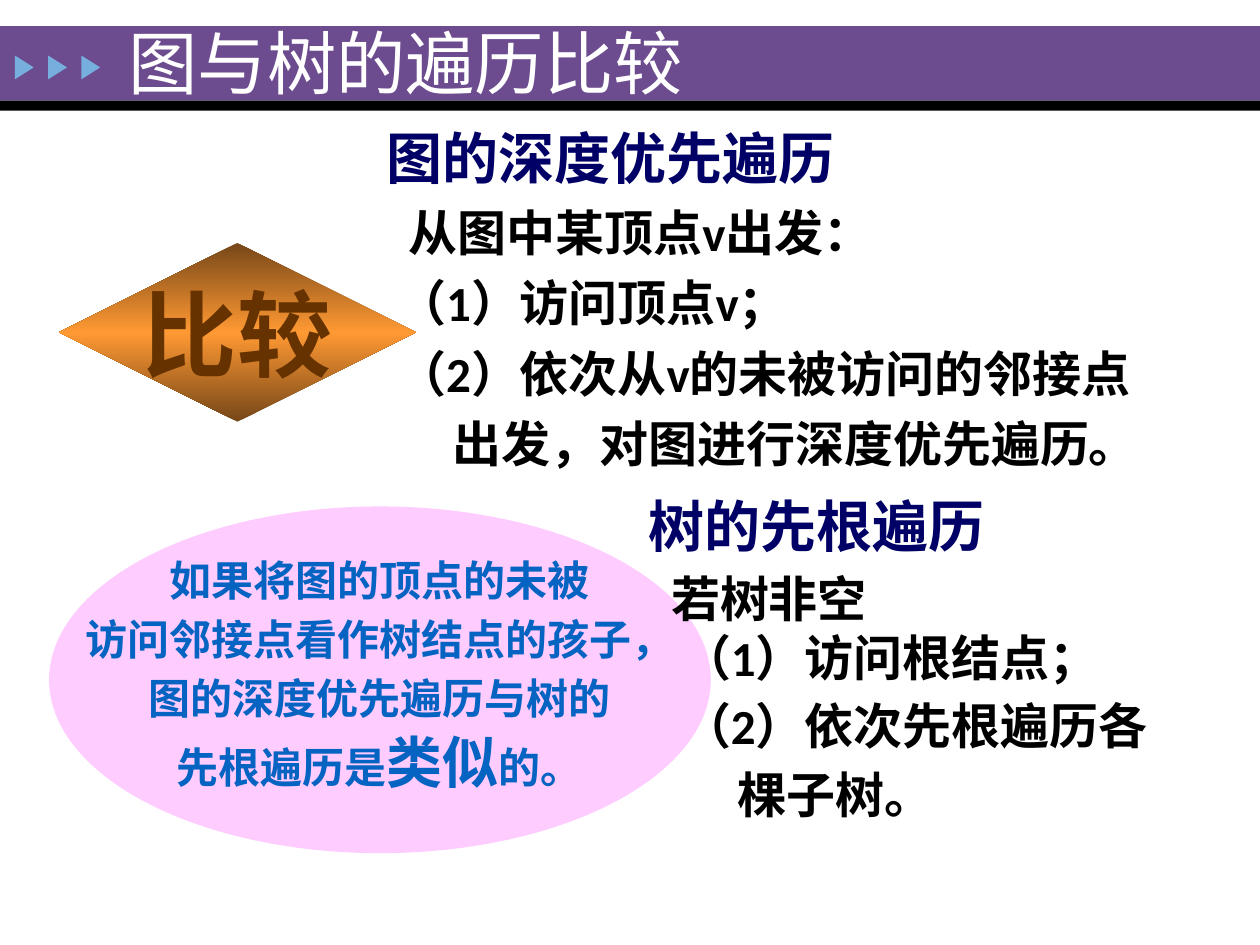
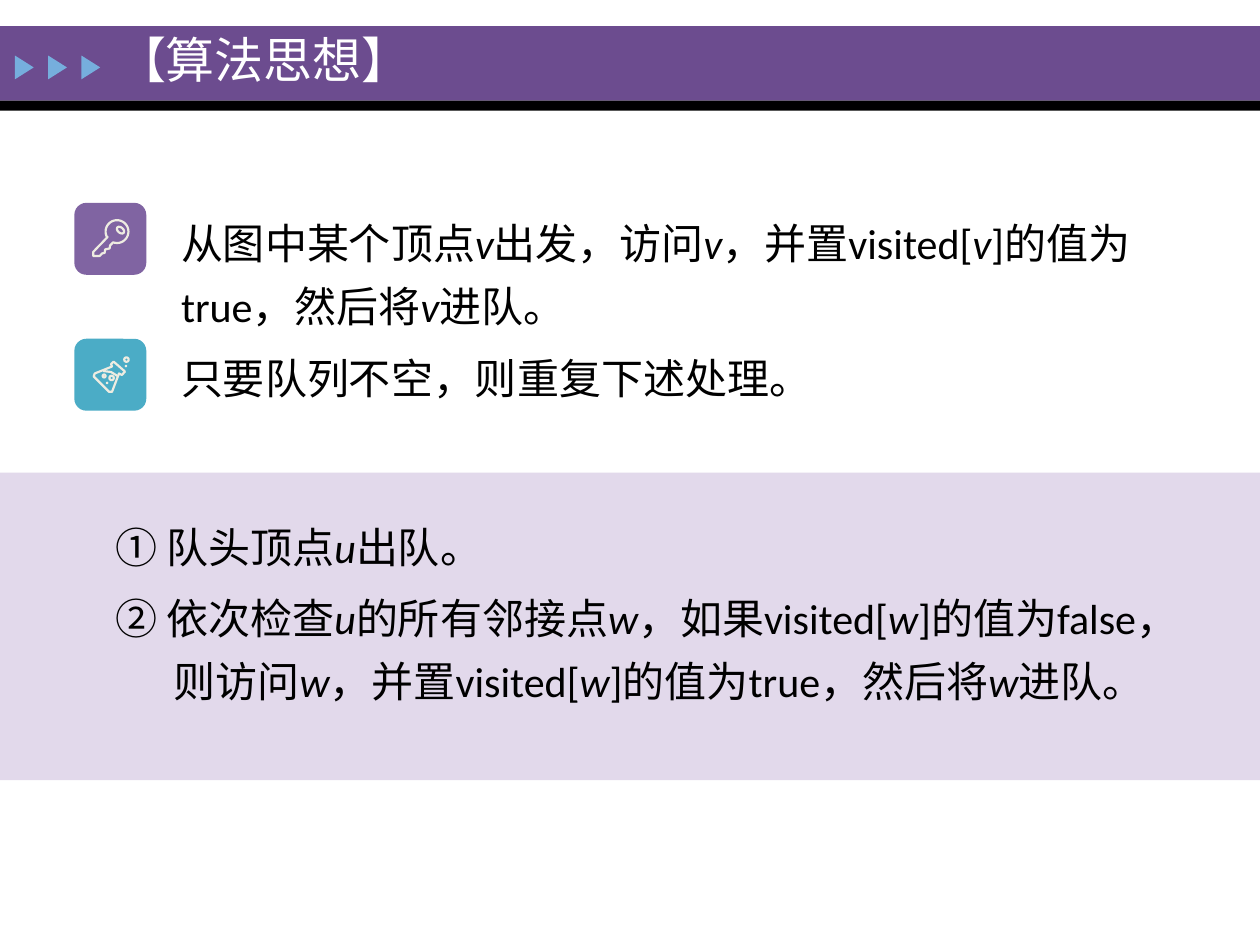
import copy
import math

import pptx
import pptx.dml.color
import pptx.enum.dml
import pptx.enum.shapes
import pptx.enum.text
import pptx.oxml.ns
import pptx.util

Cm = pptx.util.Cm
Pt = pptx.util.Pt
RGBColor = pptx.dml.color.RGBColor
SHAPE = pptx.enum.shapes.MSO_SHAPE
ANCHOR = pptx.enum.text.MSO_ANCHOR
ALIGN = pptx.enum.text.PP_ALIGN

PURPLE = RGBColor(0x6C, 0x4C, 0x8F)
BLACK = RGBColor(0x00, 0x00, 0x00)
WHITE = RGBColor(0xFF, 0xFF, 0xFF)
SKY = RGBColor(0x76, 0xAE, 0xDD)
PINK = RGBColor(0xFF, 0xCC, 0xFF)
BLUE = RGBColor(0x05, 0x63, 0xC1)
NAVY = RGBColor(0x00, 0x00, 0x66)
ORANGE = RGBColor(0xFF, 0x99, 0x33)
DARK_ORANGE = RGBColor(0x76, 0x47, 0x18)
BROWN = RGBColor(0x66, 0x33, 0x00)
LILAC = RGBColor(0xE2, 0xD9, 0xEB)
TEAL = RGBColor(0x4B, 0xAC, 0xC6)
VIOLET = RGBColor(0x80, 0x64, 0xA2)
CREAM = RGBColor(0xEE, 0xEC, 0xE1)

LATIN = "Calibri"
CJK = "Noto Sans CJK SC"
SLIDE_WIDTH = 25.4
BADGE_LEFT, BADGE_SIZE = 1.5, 1.45


def write(frame, text, size=28, color=BLACK, font=LATIN, bold=False, accent=None,
          align=None, line=None, before=0, left=0, hang=0):
    """Add a paragraph; parts between asterisks also get the accent format."""
    paragraph = frame.paragraphs[0]
    if paragraph.runs:
        paragraph = frame.add_paragraph()
    paragraph.alignment = align
    paragraph.line_spacing = line
    paragraph.space_before = Pt(before)
    properties = paragraph._p.get_or_add_pPr()
    properties.set("marL", str(Cm(left)))
    properties.set("indent", str(Cm(-hang)))
    for number, part in enumerate(text.split("*")):
        if not part:
            continue
        run = paragraph.add_run()
        run.text = part
        style = {"size": size, "italic": False}
        if number % 2:
            style.update(accent)
        run.font.size = Pt(style["size"])
        run.font.italic = style["italic"]
        run.font.name = font
        run.font.bold = bold
        run.font.color.rgb = color


class Deck:
    def __init__(self):
        self.presentation = pptx.Presentation()
        self.presentation.slide_width = Cm(SLIDE_WIDTH)
        self.presentation.slide_height = Cm(19.05)
        self.shapes = None

    def start_slide(self, title, size, top):
        layout = self.presentation.slide_layouts[6]
        self.shapes = self.presentation.slides.add_slide(layout).shapes
        self.shape(SHAPE.RECTANGLE, 0, 0.53, SLIDE_WIDTH, 1.5, PURPLE)
        self.shape(SHAPE.RECTANGLE, 0, 2.03, SLIDE_WIDTH, 0.2, BLACK)
        for step in range(3):
            arrow = self.shape(SHAPE.ISOSCELES_TRIANGLE,
                               0.25 + 0.67 * step, 1.17, 0.48, 0.38, SKY)
            arrow.rotation = 90
        heading = self.text_box(2.34 if size > 30 else 2.11, top, 17.8, 1.27)
        heading.vertical_anchor = ANCHOR.MIDDLE
        write(heading, title, size=size, color=WHITE, line=0.9)

    def finish(self, shape, fill, outline):
        shape.shadow.inherit = False
        if fill is None:
            shape.fill.background()
        else:
            shape.fill.solid()
            shape.fill.fore_color.rgb = fill
        if outline is None:
            shape.line.fill.background()
        else:
            shape.line.color.rgb = outline
            shape.line.width = Pt(1.25)
        return shape

    def shape(self, preset, left, top, width, height, fill=None, outline=None):
        shape = self.shapes.add_shape(preset, Cm(left), Cm(top), Cm(width), Cm(height))
        return self.finish(shape, fill, outline)

    def text_box(self, left, top, width, height):
        frame = self.shapes.add_textbox(
            Cm(left), Cm(top), Cm(width), Cm(height)).text_frame
        frame.word_wrap = True
        return frame

    def centred_frame(self, shape):
        frame = shape.text_frame
        frame.word_wrap = False
        frame.vertical_anchor = ANCHOR.MIDDLE
        return frame

    def gradient(self, shape, edge, middle):
        """Fill from edge to middle and back to edge, top to bottom."""
        shape.fill.gradient()
        shape.fill.gradient_angle = 90
        stop_list = shape._element.spPr.find(".//" + pptx.oxml.ns.qn("a:gsLst"))
        stop_list.append(copy.deepcopy(stop_list[0]))
        rule = zip(shape.fill.gradient_stops, (0, 0.5, 1), (edge, middle, edge))
        for stop, position, color in rule:
            stop.position = position
            stop.color.rgb = color

    def badge(self, top, color):
        tile = self.shape(SHAPE.ROUNDED_RECTANGLE, BADGE_LEFT, top,
                          BADGE_SIZE, BADGE_SIZE, color)
        return tile

    def stroke(self, top, points, close=True):
        """Draw an outline from points in millimetres inside a badge."""
        points = [(Cm(BADGE_LEFT + x / 10), Cm(top + y / 10)) for x, y in points]
        builder = self.shapes.build_freeform(*points[0])
        builder.add_line_segments(points[1:], close=close)
        return self.finish(builder.convert_to_shape(), None, CREAM)

    def ring(self, top, x, y, width, height, filled=False):
        """Draw an oval centred at x, y millimetres inside a badge."""
        return self.shape(SHAPE.OVAL, BADGE_LEFT + (x - width / 2) / 10,
                          top + (y - height / 2) / 10, width / 10, height / 10,
                          CREAM if filled else None, None if filled else CREAM)

    def key_badge(self, top):
        self.badge(top, VIOLET)
        teeth = [(6.7, 6.9), (3.8, 9.9), (3.8, 10.7), (5.1, 10.7), (5.6, 10.2),
                 (6.1, 10.1), (6.2, 9.4), (7.1, 9.2), (7.2, 8.6)]
        angles = [math.radians(angle) for angle in range(110, -209, -6)]
        bow = [(8.6 + 2.3 * math.cos(a), 5.8 + 2.3 * math.sin(a)) for a in angles]
        self.stroke(top, teeth + bow)
        self.ring(top, 9.3, 5.5, 1.7, 1.1).rotation = 40

    def flask_badge(self, top):
        self.badge(top, TEAL)
        self.stroke(top, [(7.9, 4.6), (10.2, 6.6), (9.6, 7.3), (9, 7), (7.6, 10.7),
                          (7, 10.7), (3.9, 7.6), (4.1, 7), (7.6, 5.6), (7.4, 5.1)])
        self.stroke(top, [(5.8, 6.5), (7.4, 6.7), (8.7, 7.5)], close=False)
        for x, y, diameter in [(7.5, 7.9, 0.9), (10.5, 4.2, 0.9), (6, 7.5, 0.6)]:
            self.ring(top, x, y, diameter, diameter)
        for x, y in [(6.6, 8.9), (10.4, 5.5)]:
            self.ring(top, x, y, 0.5, 0.5, filled=True)


def build_comparison(deck):
    deck.start_slide("图与树的遍历比较", size=39.6, top=0.71)

    remark = deck.centred_frame(
        deck.shape(SHAPE.OVAL, 0.99, 10.21, 13.34, 6.99, PINK))
    for number, text in enumerate(["如果将图的顶点的未被", "访问邻接点看作树结点的孩子，",
                                   "图的深度优先遍历与树的", "先根遍历是*类似*的。"]):
        write(remark, text, size=24, color=BLUE, font=CJK, bold=True,
              accent={"size": 32}, align=ALIGN.CENTER, line=0.75,
              before=12 if number else 2.4)

    graph = deck.text_box(7.54, 2.36, 17.8, 7.32)
    write(graph, "图的深度优先遍历", size=32, color=NAVY, bold=True)
    for text, left in [("从图中某顶点v出发：", 0.45), ("（1）访问顶点v；", 0.22),
                       ("（2）依次从v的未被访问的邻接点", 0.22),
                       ("出发，对图进行深度优先遍历。", 1.34)]:
        write(graph, text, bold=True, line=1.2, left=left)

    tree = deck.text_box(12.83, 9.78, 11.63, 7.06)
    write(tree, "树的先根遍历", size=32, color=NAVY, bold=True)
    for text, left, before in [("若树非空", 0.45, 5.6), ("（1）访问根结点；", 0.67, 0),
                               ("（2）依次先根遍历各", 0.67, 5.6),
                               ("棵子树。", 1.79, 5.6)]:
        write(tree, text, bold=True, left=left, before=before)

    diamond = deck.shape(SHAPE.DIAMOND, 1.19, 4.9, 7.19, 3.6)
    deck.gradient(diamond, DARK_ORANGE, ORANGE)
    write(deck.centred_frame(diamond), "比较", size=54, color=BROWN, font=CJK,
          bold=True, align=ALIGN.CENTER)


def build_algorithm(deck):
    deck.start_slide("【算法思想】", size=28, top=0.63)
    deck.shape(SHAPE.RECTANGLE, 0, 9.53, SLIDE_WIDTH, 6.2, LILAC)

    body = {"size": 24, "line": 1.25, "before": 4.8, "accent": {"italic": True}}
    outline = deck.text_box(3.4, 4.01, 21.69, 4.32)
    write(outline, "从图中某个顶点*v*出发，访问*v*，并置visited[*v*]的值为true，"
                   "然后将*v*进队。", **body)
    write(outline, "只要队列不空，则重复下述处理。", **body)
    deck.flask_badge(6.83)
    deck.key_badge(4.09)

    loop = deck.text_box(1.5, 10.13, 22.81, 4.19)
    for text in ["① 队头顶点*u*出队。",
                 "② 依次检查*u*的所有邻接点*w*，如果visited[*w*]的值为false，"
                 "则访问*w*，并置visited[*w*]的值为true，然后将*w*进队。"]:
        write(loop, text, left=1.75, hang=1.18, **body)


def main():
    deck = Deck()
    build_comparison(deck)
    build_algorithm(deck)
    deck.presentation.save("out.pptx")


if __name__ == "__main__":
    main()
